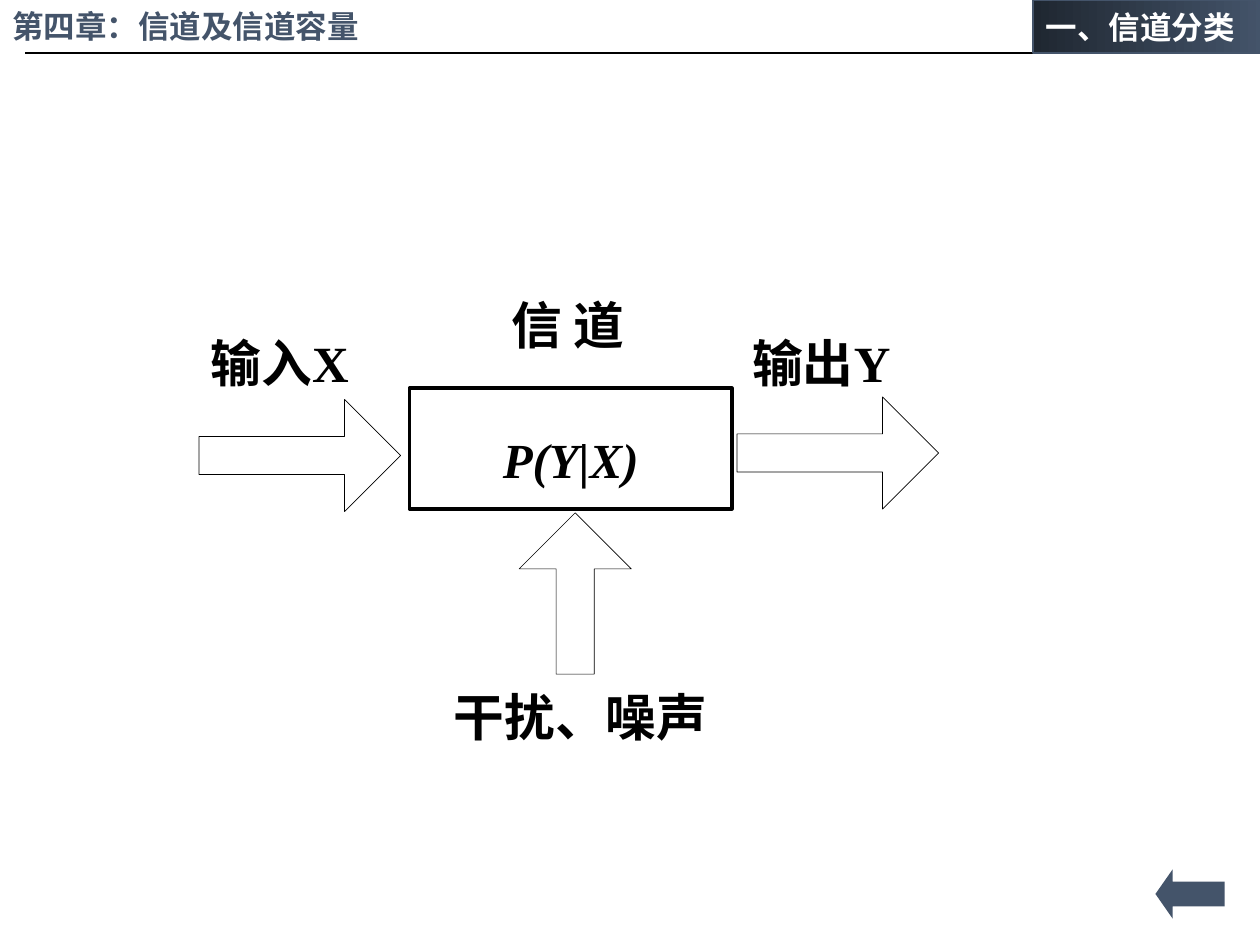
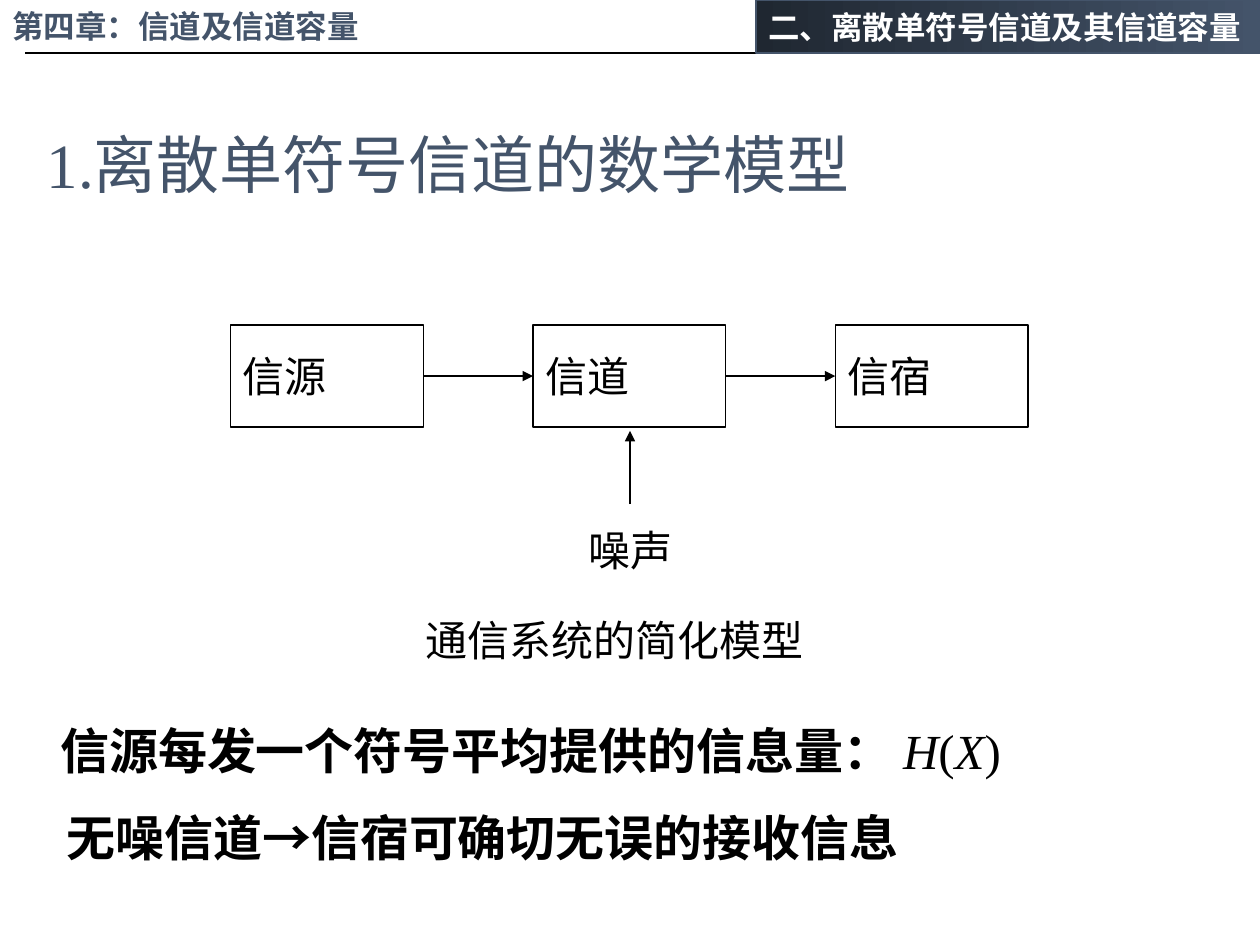
from dataclasses import dataclass, field
from typing import Optional

from lxml.etree import SubElement
from pptx import Presentation
from pptx.dml.color import RGBColor
from pptx.enum.shapes import MSO_CONNECTOR, MSO_SHAPE
from pptx.enum.text import MSO_ANCHOR, MSO_AUTO_SIZE, PP_ALIGN
from pptx.oxml.ns import qn
from pptx.util import Inches, Pt

COLORS = {
    "ink": "000000",
    "paper": "FFFFFF",
    "slate": "44546A",
    "night": "1F2731",
}
SERIF, SANS, ARIAL = "Times New Roman", "Noto Sans CJK SC", "Arial"
PADDED = {"margin_left": 0.1, "margin_right": 0.1, "margin_top": 0.05, "margin_bottom": 0.05}
FLUSH = dict.fromkeys(PADDED, 0)
CHAPTER = "第四章：信道及信道容量"
BAND_HEIGHT = 0.42


@dataclass
class Span:
    text: str
    format: dict = field(default_factory=dict)


@dataclass
class Label:
    spans: list[Span]
    left: float
    top: float
    width: float
    height: float
    size: float
    font: str = SERIF
    color: str = "ink"
    bold: bool = False
    margins: dict = field(default_factory=lambda: PADDED)
    anchor: MSO_ANCHOR = MSO_ANCHOR.TOP
    align: PP_ALIGN = PP_ALIGN.LEFT


@dataclass
class Block:
    kind: MSO_SHAPE
    left: float
    top: float
    width: float
    height: float
    fill: Optional[str] = None
    line: Optional[str] = "ink"
    weight: float = 0.75
    adjustments: tuple = ()


def rgb(name: str) -> RGBColor:
    return RGBColor.from_string(COLORS[name])


def write(shape, label: Label) -> None:
    """Fill a shape's text frame with the label's formatted spans."""
    frame = shape.text_frame
    settings = {"word_wrap": True, "auto_size": MSO_AUTO_SIZE.NONE,
                "vertical_anchor": label.anchor}
    settings |= {side: Inches(inset) for side, inset in label.margins.items()}
    for key, value in settings.items():
        setattr(frame, key, value)
    paragraph = frame.paragraphs[0]
    paragraph.alignment = label.align
    for span in label.spans:
        run = paragraph.add_run()
        run.text = span.text
        formats = {"name": label.font, "size": Pt(label.size), "bold": label.bold}
        for key, value in (formats | span.format).items():
            setattr(run.font, key, value)
        run.font.color.rgb = rgb(label.color)
        east_asian = SubElement(run._r.get_or_add_rPr(), qn("a:ea"))
        east_asian.set("typeface", SANS)


def add_label(slide, label: Label) -> None:
    box = slide.shapes.add_textbox(*map(Inches, (label.left, label.top, label.width, label.height)))
    write(box, label)


def add_block(slide, block: Block):
    shape = slide.shapes.add_shape(
        block.kind, *map(Inches, (block.left, block.top, block.width, block.height)))
    shape.shadow.inherit = False
    for index, value in enumerate(block.adjustments):
        shape.adjustments[index] = value
    if block.fill:
        shape.fill.solid()
        shape.fill.fore_color.rgb = rgb(block.fill)
    else:
        shape.fill.background()
    if block.line:
        shape.line.color.rgb = rgb(block.line)
        shape.line.width = Pt(block.weight)
    else:
        shape.line.fill.background()
    return shape


def add_line(slide, start: tuple, end: tuple, weight: float = 0.75, arrow: bool = False) -> None:
    line = slide.shapes.add_connector(MSO_CONNECTOR.STRAIGHT, *map(Inches, (*start, *end)))
    line.line.color.rgb = rgb("ink")
    line.line.width = Pt(weight)
    if arrow:
        SubElement(line.line._get_or_add_ln(), qn("a:tailEnd")).set("type", "triangle")
    SubElement(line._element.spPr, qn("a:effectLst"))


def add_header(slide, section: list[Span], left: float, width: float) -> None:
    """Chapter name, rule and section band along the top edge."""
    add_line(slide, (0.2, BAND_HEIGHT), (9.95, BAND_HEIGHT), 1)
    add_label(slide, Label([Span(CHAPTER)], 0, 0.01, 3.38, 0.4, 18, color="slate",
                           bold=True, anchor=MSO_ANCHOR.MIDDLE))
    band = add_block(slide, Block(MSO_SHAPE.RECTANGLE, left, 0, width, BAND_HEIGHT,
                                  line="slate", weight=1))
    band.fill.gradient()
    band.fill.gradient_angle = 0
    for stop, color in zip(band.fill.gradient_stops, ("night", "slate")):
        stop.color.rgb = rgb(color)
    write(band, Label(section, left, 0, width, BAND_HEIGHT, 18, color="paper",
                      bold=True, anchor=MSO_ANCHOR.MIDDLE))


def build_classification(deck) -> None:
    slide = deck.slides.add_slide(deck.slide_layouts[6])
    add_header(slide, [Span("一、信道分类")], 8.2, 1.83)

    # Channel with its input, output and noise arrows
    block_arrow = {"fill": "paper", "weight": 0.37, "adjustments": (0.34, 0.5)}
    add_block(slide, Block(MSO_SHAPE.RECTANGLE, 3.25, 3.08, 2.56, 0.96, "paper", weight=1.87))
    for kind, *place in (
        (MSO_SHAPE.RIGHT_ARROW, 1.58, 3.17, 1.6, 0.89),
        (MSO_SHAPE.RIGHT_ARROW, 5.85, 3.15, 1.6, 0.89),
        (MSO_SHAPE.UP_ARROW, 4.12, 4.07, 0.89, 1.28),
    ):
        add_block(slide, Block(kind, *place, **block_arrow))

    # Names of the parts
    serif = {"name": SERIF}
    for spans, left, top, width in (
        ([Span("信 道")], 4.06, 2.33, 1),
        ([Span("输入"), Span("X", serif)], 1.67, 2.63, 1.3),
        ([Span("输出"), Span("Y", serif)], 5.97, 2.63, 1.3),
        ([Span("干扰、噪声")], 3.6, 5.44, 2.2),
    ):
        add_label(slide, Label(spans, left, top, width, 0.48, 29, SANS, bold=True, margins=FLUSH))
    add_label(slide, Label([Span("P(Y|X)", {"italic": True})], 3.25, 3.36, 2.56, 0.57, 28,
                           bold=True, align=PP_ALIGN.CENTER))

    # Return arrow
    add_block(slide, Block(MSO_SHAPE.LEFT_ARROW, 9.17, 6.9, 0.55, 0.39, "slate", None,
                           adjustments=(0.5, 0.35)))


def build_model(deck) -> None:
    slide = deck.slides.add_slide(deck.slide_layouts[5])
    heading = Label([Span("1.离散单符号信道的数学模型")], 0.27, 0.67, 8.5, 1.25, 36,
                    color="slate", anchor=MSO_ANCHOR.MIDDLE)
    title = slide.shapes.title
    for side in ("left", "top", "width", "height"):
        setattr(title, side, Inches(getattr(heading, side)))
    write(title, heading)
    add_header(slide, [Span("二、"), Span("离散单符号信道及其信道容量", {"name": ARIAL})], 6, 4)

    # Source, channel and sink at equal steps, joined by arrows
    first, step, top, width, height = 1.83, 2.4, 2.58, 1.53, 0.81
    middle = top + height / 2
    stages = ("信源", "信道", "信宿")
    for index, stage in enumerate(stages):
        left = first + index * step
        box = add_block(slide, Block(MSO_SHAPE.RECTANGLE, left, top, width, height))
        write(box, Label([Span(stage)], left, top, width, height, 24, anchor=MSO_ANCHOR.MIDDLE))
        if index < len(stages) - 1:
            add_line(slide, (left + width, middle), (left + step, middle), arrow=True)

    # Noise and caption
    add_line(slide, (5, 4), (5, 3.42), arrow=True)
    add_label(slide, Label([Span("噪声")], 4.57, 4.11, 0.95, 0.5, 24))
    add_label(slide, Label([Span("通信系统的简化模型")], 3.28, 4.83, 3.3, 0.5, 24))

    # Statements
    upright, slanted = {"bold": False}, {"bold": False, "italic": True}
    entropy = [Span("信源每发一个符号平均提供的信息量： "), Span("H", slanted),
               Span("(", upright), Span("X", slanted), Span(")", upright)]
    add_label(slide, Label(entropy, 0.38, 5.67, 8.2, 0.57, 28, bold=True))
    add_label(slide, Label([Span("无噪信道→信宿可确切无误的接收信息")],
                           0.43, 6.36, 7.2, 0.57, 28, bold=True))


def main() -> None:
    deck = Presentation()
    deck.slide_width, deck.slide_height = Inches(10), Inches(7.5)
    build_classification(deck)
    build_model(deck)
    deck.save("out.pptx")


if __name__ == "__main__":
    main()
